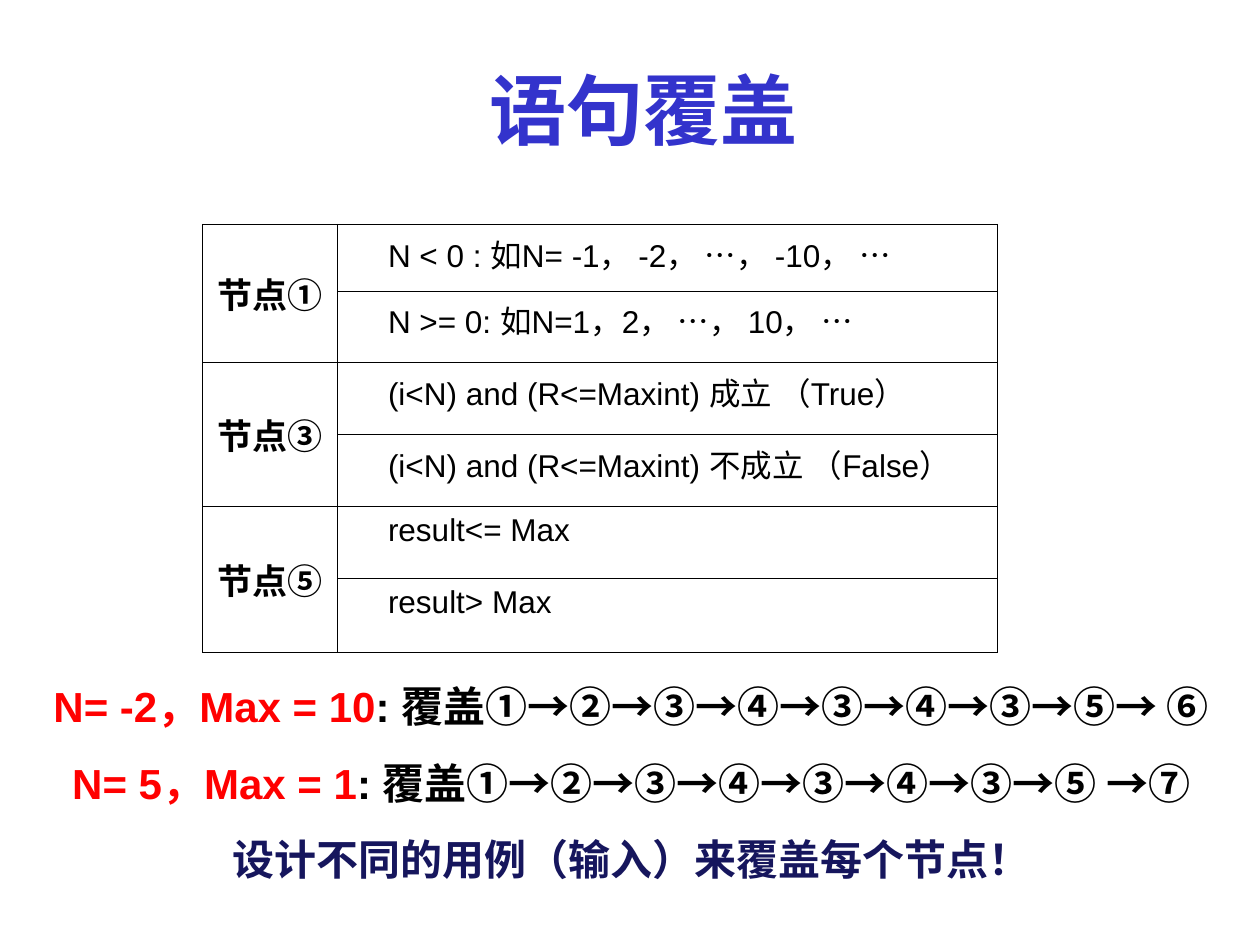
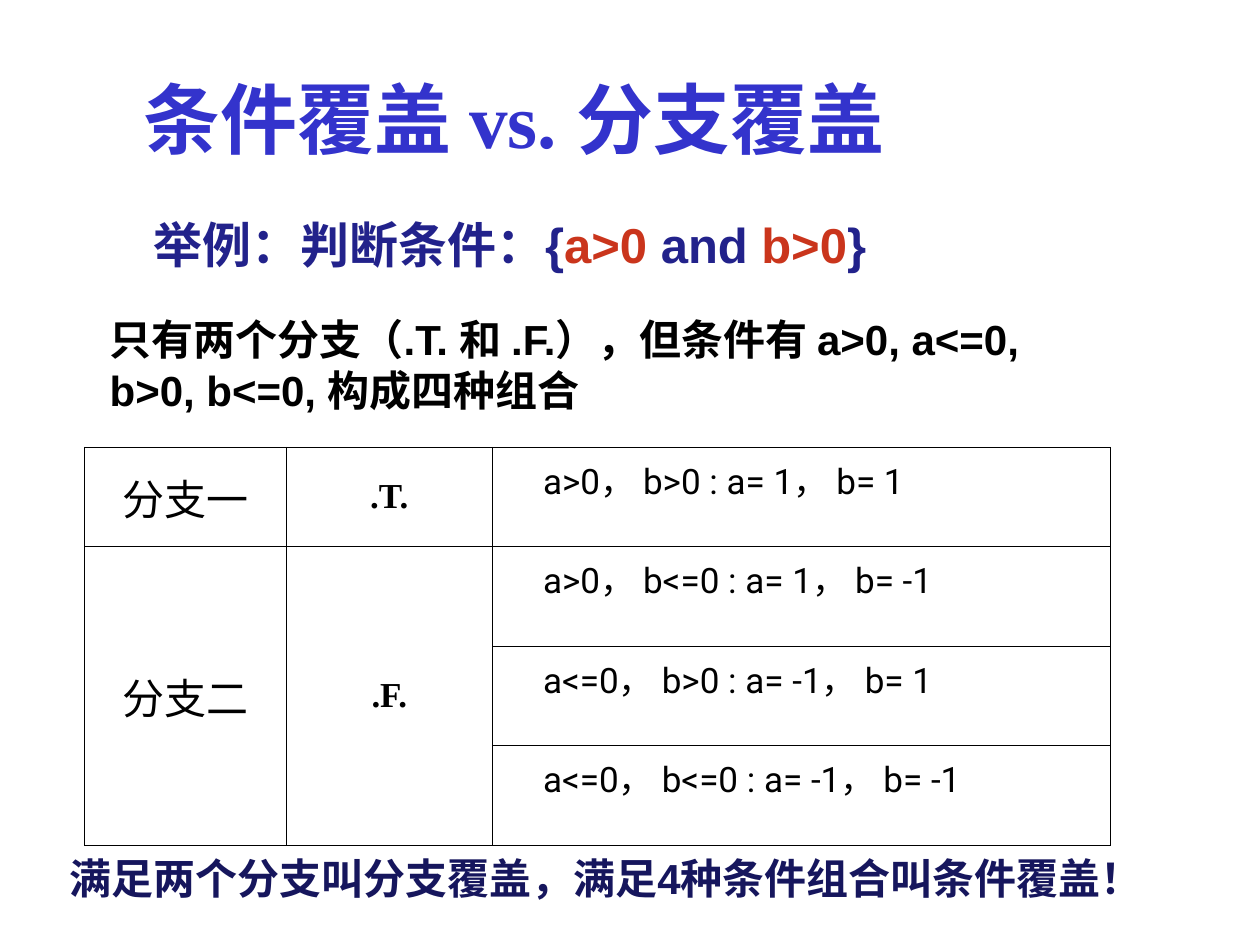
"""Build two slides on statement, condition and branch coverage in software testing."""
from dataclasses import dataclass
from typing import Optional

from lxml.etree import SubElement
from pptx import Presentation
from pptx.dml.color import RGBColor
from pptx.enum.text import MSO_ANCHOR, MSO_AUTO_SIZE, PP_ALIGN
from pptx.oxml.ns import qn
from pptx.presentation import Presentation as Deck
from pptx.slide import Slide
from pptx.table import _Cell
from pptx.text.text import Font, TextFrame
from pptx.util import Inches, Pt


@dataclass(frozen=True)
class Theme:
    title_color: str = "3333CC"
    ink: str = "000000"
    input_color: str = "FF0000"
    conclusion_color: str = "16165D"
    example_color: str = "22228B"
    condition_color: str = "CA351C"
    serif: str = "Times New Roman"
    sans: str = "Arial"
    case_font: str = "Roboto"
    title_size: int = 44
    example_size: int = 28
    body_size: int = 24
    label_size: int = 20
    case_size: int = 18
    paragraph_gap: int = 15
    border_width: float = 0.45


THEME = Theme()


@dataclass(frozen=True)
class Area:
    left: float
    top: float
    width: float
    height: float

    def lengths(self) -> tuple:
        return tuple(Inches(value) for value in (self.left, self.top, self.width, self.height))


@dataclass(frozen=True)
class Span:
    text: str
    color: str = THEME.ink
    font: Optional[str] = None


@dataclass(frozen=True)
class TextBlock:
    area: Area
    paras: list[list[Span]]
    size: int = THEME.body_size
    align: PP_ALIGN = PP_ALIGN.LEFT
    anchor: MSO_ANCHOR = MSO_ANCHOR.TOP
    wrap: bool = True
    inset: tuple[float, float] = (0, 0)


@dataclass(frozen=True)
class CellText:
    text: str
    size: int
    font: str = THEME.serif
    bold: bool = False
    rows: int = 1
    is_label: bool = True


@dataclass(frozen=True)
class Grid:
    area: Area
    columns: list[float]
    rows: list[float]
    cells: dict[tuple[int, int], CellText]


def style_font(font: Font, name: str, size: int, bold: bool, color: Optional[str] = None) -> None:
    font.name, font.size, font.bold = name, Pt(size), bold
    if color:
        font.color.rgb = RGBColor.from_string(color)


def add_titled_slide(deck: Deck, text: str, area: Area) -> Slide:
    slide = deck.slides.add_slide(deck.slide_layouts[5])
    title = slide.shapes.title
    title.left, title.top, title.width, title.height = area.lengths()
    frame = title.text_frame
    frame.text = text
    frame.auto_size = MSO_AUTO_SIZE.NONE
    frame.vertical_anchor = MSO_ANCHOR.MIDDLE
    para = frame.paragraphs[0]
    para.alignment = PP_ALIGN.CENTER
    style_font(para.font, THEME.serif, THEME.title_size, True, THEME.title_color)
    return slide


def fill_paragraph(frame: TextFrame, index: int, spans: list[Span], block: TextBlock) -> None:
    para = frame.add_paragraph() if index else frame.paragraphs[0]
    para.alignment = block.align
    if index:
        para.space_before = Pt(THEME.paragraph_gap)
    style_font(para.font, THEME.sans, block.size, True)
    for span in spans:
        run = para.add_run()
        run.text = span.text
        run.font.color.rgb = RGBColor.from_string(span.color)
        if span.font:
            run.font.name = span.font


def add_text_block(slide: Slide, block: TextBlock) -> None:
    frame = slide.shapes.add_textbox(*block.area.lengths()).text_frame
    frame.word_wrap = block.wrap
    frame.auto_size = MSO_AUTO_SIZE.SHAPE_TO_FIT_TEXT
    frame.vertical_anchor = block.anchor
    across, down = (Inches(value) for value in block.inset)
    frame.margin_left = frame.margin_right = across
    frame.margin_top = frame.margin_bottom = down
    for index, spans in enumerate(block.paras):
        fill_paragraph(frame, index, spans, block)


def set_borders(cell: _Cell) -> None:
    properties = cell._tc.get_or_add_tcPr()
    for position, side in enumerate(("lnL", "lnR", "lnT", "lnB")):
        line = SubElement(properties, qn(f"a:{side}"), w=str(Pt(THEME.border_width)))
        SubElement(SubElement(line, qn("a:solidFill")), qn("a:srgbClr"), val=THEME.ink)
        properties.insert(position, line)


def fill_cell(cell: _Cell, content: CellText) -> None:
    cell.text = content.text
    para = cell.text_frame.paragraphs[0]
    style_font(para.font, content.font, content.size, content.bold, THEME.ink)
    if content.is_label:
        para.alignment = PP_ALIGN.CENTER
        cell.vertical_anchor = MSO_ANCHOR.MIDDLE
    else:
        cell.margin_left = Inches(0.4)


def add_grid(slide: Slide, grid: Grid) -> None:
    table = slide.shapes.add_table(len(grid.rows), len(grid.columns), *grid.area.lengths()).table
    table.first_row = table.horz_banding = False
    for column, width in zip(table.columns, grid.columns):
        column.width = Inches(width)
    for row, height in zip(table.rows, grid.rows):
        row.height = Inches(height)
    for cell in table.iter_cells():
        cell.fill.background()
        set_borders(cell)
    for (row, column), content in grid.cells.items():
        cell = table.cell(row, column)
        if content.rows > 1:
            cell.merge(table.cell(row + content.rows - 1, column))
        fill_cell(cell, content)


def case_cells(cases: list[str], column: int, font: str, size: int) -> dict[tuple[int, int], CellText]:
    return {
        (row, column): CellText(text, size, font, is_label=False)
        for row, text in enumerate(cases)
    }


def route(values: str, fifth: str, ending: str) -> list[Span]:
    return [
        Span(values, THEME.input_color),
        Span(": 覆盖" + "".join(f"{node}→" for node in "①②③④③④③")),
        Span(fifth, font=THEME.serif),
        Span(ending),
    ]


def build_statement_slide(deck: Deck) -> None:
    slide = add_titled_slide(deck, "语句覆盖", Area(1.61, 0.6, 7, 0.53))
    cases = [
        "N < 0 : 如N= -1， -2， …， -10， …",
        "N >= 0: 如N=1，2， …， 10， …",
        "(i<N) and (R<=Maxint) 成立 （True）",
        "(i<N) and (R<=Maxint) 不成立 （False）",
        "result<= Max",
        "result> Max",
    ]
    nodes = {
        (2 * index, 0): CellText(f"节点{number}", THEME.label_size, bold=True, rows=2)
        for index, number in enumerate("①③⑤")
    }
    add_grid(slide, Grid(
        Area(1.61, 1.78, 6.31, 3.39),
        [1.07, 5.24],
        [0.53, *[0.57] * 4, 0.59],
        nodes | case_cells(cases, 1, THEME.sans, THEME.case_size),
    ))
    add_text_block(slide, TextBlock(
        Area(0.01, 5.4, 10, 1.62),
        [
            route("N= -2，Max = 10", "⑤", "→ ⑥"),
            route("N= 5，Max = 1", "⑤ ", "→⑦"),
            [Span("设计不同的用例（输入）来覆盖每个节点！", THEME.conclusion_color)],
        ],
        align=PP_ALIGN.CENTER,
        anchor=MSO_ANCHOR.MIDDLE,
    ))


def build_condition_slide(deck: Deck) -> None:
    slide = add_titled_slide(deck, "条件覆盖 vs. 分支覆盖", Area(0.58, 0.67, 7, 0.53))
    cases = [
        "a>0， b>0 : a= 1， b= 1",
        "a>0， b<=0 : a= 1， b= -1",
        "a<=0， b>0 : a= -1， b= 1",
        "a<=0， b<=0 : a= -1， b= -1",
    ]
    branches = {}
    for row, name, outcome, rows in ((0, "分支一", ".T.", 1), (1, "分支二", ".F.", 3)):
        branches[row, 0] = CellText(name, THEME.body_size, rows=rows)
        branches[row, 1] = CellText(outcome, THEME.label_size, bold=True, rows=rows)
    add_grid(slide, Grid(
        Area(0.67, 3.55, 8.15, 3.15),
        [1.6, 1.64, 4.9],
        [0.79] * len(cases),
        branches | case_cells(cases, 2, THEME.case_font, THEME.label_size),
    ))
    example = [
        Span("举例：判断条件：{", THEME.example_color),
        Span("a>0 ", THEME.condition_color),
        Span("and", THEME.example_color),
        Span(" b>0", THEME.condition_color),
        Span("}", THEME.example_color),
    ]
    explanation = "只有两个分支（.T. 和 .F.），但条件有 a>0, a<=0, b>0, b<=0, 构成四种组合"
    conclusion = "满足两个分支叫分支覆盖，满足4种条件组合叫条件覆盖！"
    blocks = [
        TextBlock(Area(1.22, 1.7, 5.98, 0.47), [example], THEME.example_size,
                  anchor=MSO_ANCHOR.MIDDLE),
        TextBlock(Area(0.87, 2.49, 7.68, 0.8), [[Span(explanation)]]),
        TextBlock(Area(0.37, 6.72, 8.88, 0.5), [[Span(conclusion, THEME.conclusion_color)]],
                  align=PP_ALIGN.CENTER, wrap=False, inset=(0.1, 0.05)),
    ]
    for block in blocks:
        add_text_block(slide, block)


def main() -> None:
    deck = Presentation()
    deck.slide_width, deck.slide_height = Inches(10), Inches(7.5)
    build_statement_slide(deck)
    build_condition_slide(deck)
    deck.save("out.pptx")


if __name__ == "__main__":
    main()
